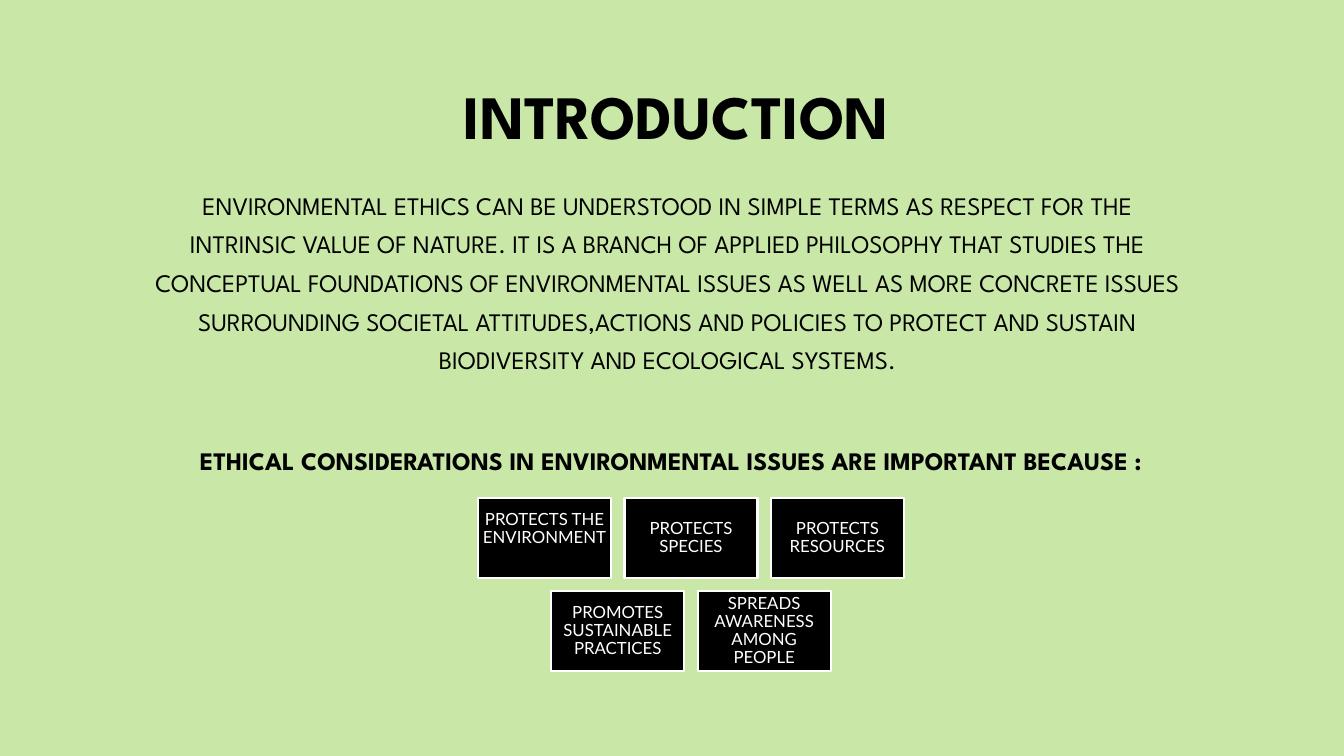
from dataclasses import dataclass

from pptx import Presentation
from pptx.dml.color import RGBColor
from pptx.enum.shapes import MSO_SHAPE
from pptx.enum.text import MSO_ANCHOR, PP_ALIGN
from pptx.util import Pt


@dataclass(frozen=True)
class Theme:
    back: str = "C9E7A7"
    dark: str = "000000"
    light: str = "FFFFFF"
    main: str = "League Spartan"
    label: str = "Lato"
    title: float = 44
    body: float = 18
    small: float = 12


def color(code):
    return RGBColor.from_string(code)


def write(frame, text, *, font, size, ink, bold=False, anchor=MSO_ANCHOR.TOP,
          pad=(7.2, 3.6, 7.2, 3.6), after=6, lead=None):
    """Fill a frame with centred text, one paragraph for each line."""
    frame.word_wrap = True
    frame.vertical_anchor = anchor
    (frame.margin_left, frame.margin_top,
     frame.margin_right, frame.margin_bottom) = map(Pt, pad)
    frame.text = text
    for para in frame.paragraphs:
        para.alignment = PP_ALIGN.CENTER
        para.space_before = Pt(0)
        para.space_after = Pt(after)
        if lead:
            para.line_spacing = lead
        face = para.font
        face.name, face.size, face.bold = font, Pt(size), bold
        face.color.rgb = color(ink)


class Page:
    def __init__(self, deck, theme):
        self.theme = theme
        self.slide = deck.slides.add_slide(deck.slide_layouts[5])
        fill = self.slide.background.fill
        fill.solid()
        fill.fore_color.rgb = color(theme.back)

    def title(self, text, box):
        shape = self.slide.shapes.title
        shape.left, shape.top, shape.width, shape.height = map(Pt, box)
        write(shape.text_frame, text, font=self.theme.main,
              size=self.theme.title, ink=self.theme.dark, bold=True)

    def text(self, text, box, bold=False):
        shape = self.slide.shapes.add_textbox(*map(Pt, box))
        write(shape.text_frame, text, font=self.theme.main,
              size=self.theme.body, ink=self.theme.dark, bold=bold)

    def tile(self, text, box, foot=3.6):
        shape = self.slide.shapes.add_shape(MSO_SHAPE.RECTANGLE, *map(Pt, box))
        shape.shadow.inherit = False
        shape.fill.solid()
        shape.fill.fore_color.rgb = color(self.theme.dark)
        shape.line.color.rgb = color(self.theme.light)
        shape.line.width = Pt(1.5)
        write(shape.text_frame, text, font=self.theme.label,
              size=self.theme.small, ink=self.theme.light,
              anchor=MSO_ANCHOR.MIDDLE, pad=(3, 3.6, 3, foot),
              after=0, lead=0.9)


INTRO = """ENVIRONMENTAL ETHICS CAN BE UNDERSTOOD IN SIMPLE TERMS AS RESPECT FOR THE
INTRINSIC VALUE OF NATURE. IT IS A BRANCH OF APPLIED PHILOSOPHY THAT STUDIES THE
CONCEPTUAL FOUNDATIONS OF ENVIRONMENTAL ISSUES AS WELL AS MORE CONCRETE ISSUES
SURROUNDING SOCIETAL ATTITUDES,ACTIONS AND POLICIES TO PROTECT AND SUSTAIN
BIODIVERSITY AND ECOLOGICAL SYSTEMS."""

# Each tile: its label and its bottom inset
ROWS = [
    [("PROTECTS THE ENVIRONMENT", 16.6), ("PROTECTS SPECIES", 3.6),
     ("PROTECTS RESOURCES", 3.6)],
    [("PROMOTES SUSTAINABLE PRACTICES", 3.6),
     ("SPREADS AWARENESS AMONG PEOPLE", 3.6)],
]


def main():
    deck = Presentation()
    deck.slide_width, deck.slide_height = Pt(960), Pt(540)
    page = Page(deck, Theme())

    # Title and text
    page.title("INTRODUCTION", (41.4, 51.8, 884, 60))
    page.text(INTRO, (34.8, 132.2, 884, 145.2))
    page.text("ETHICAL CONSIDERATIONS IN ENVIRONMENTAL ISSUES ARE IMPORTANT BECAUSE :",
              (37.4, 314.6, 884, 34.8), bold=True)

    # Rows of tiles, each centred on the same axis
    axis, top, wide, high, gap = 493.6, 355.7, 95, 57, 9.6
    for row, tiles in enumerate(ROWS):
        left = axis - (len(tiles) * (wide + gap) - gap) / 2
        for col, (label, foot) in enumerate(tiles):
            page.tile(label, (left + col * (wide + gap),
                              top + row * (high + gap), wide, high), foot)

    deck.save("out.pptx")


if __name__ == "__main__":
    main()
